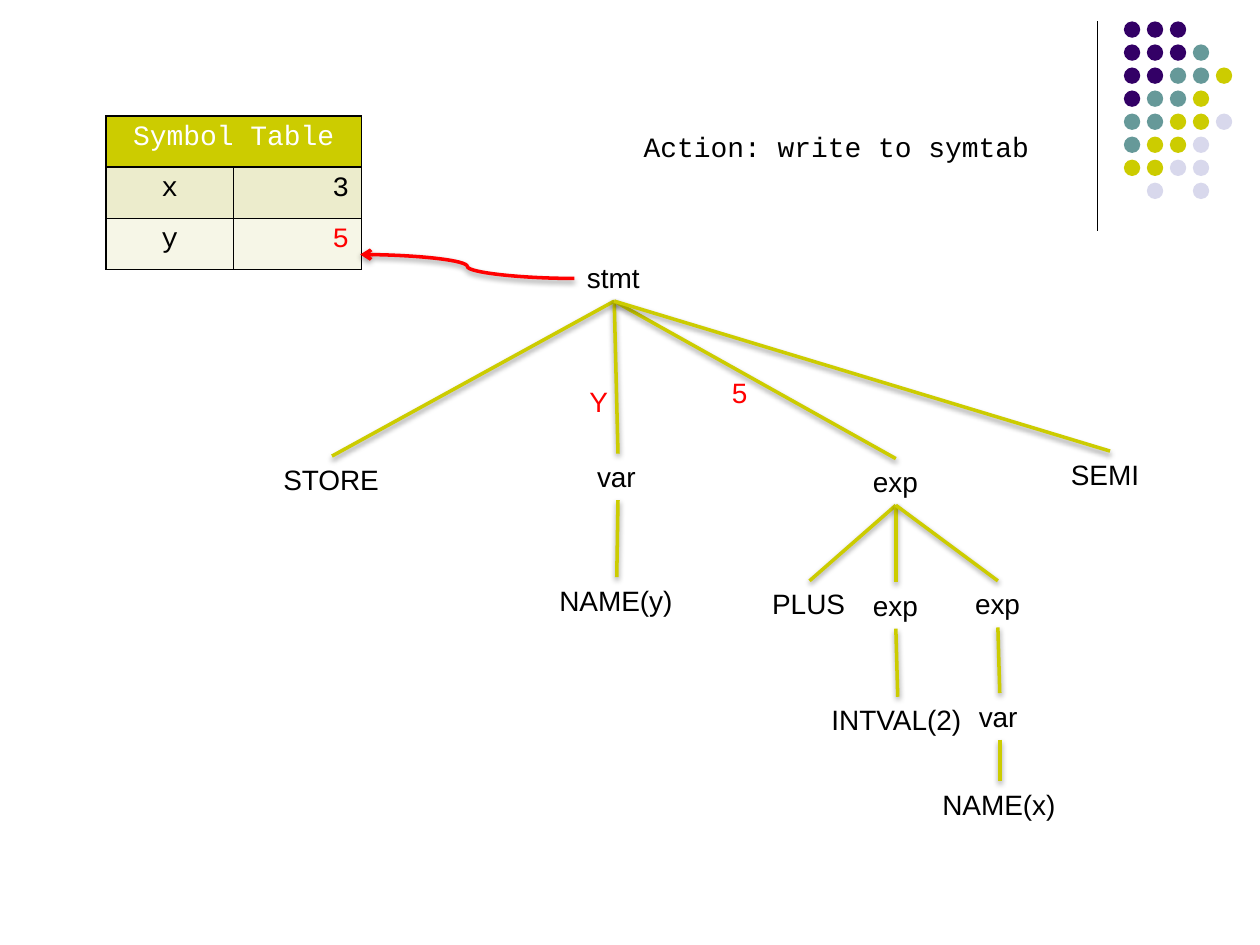
from typing import NamedTuple

from lxml import etree
from pptx import Presentation
from pptx.dml.color import RGBColor
from pptx.enum.shapes import MSO_CONNECTOR, MSO_SHAPE
from pptx.enum.text import MSO_AUTO_SIZE, PP_ALIGN
from pptx.oxml.ns import qn
from pptx.util import Inches, Pt

STRAIGHT, CURVE = MSO_CONNECTOR.STRAIGHT, MSO_CONNECTOR.CURVE
OVAL = MSO_SHAPE.OVAL
LEFT, CENTER, RIGHT = PP_ALIGN.LEFT, PP_ALIGN.CENTER, PP_ALIGN.RIGHT
GROW = MSO_AUTO_SIZE.SHAPE_TO_FIT_TEXT

BLACK = RGBColor(0x00, 0x00, 0x00)
WHITE = RGBColor(0xFF, 0xFF, 0xFF)
RED = RGBColor(0xFF, 0x00, 0x00)
PURPLE = RGBColor(0x33, 0x00, 0x66)
TEAL = RGBColor(0x66, 0x99, 0x99)
OLIVE = RGBColor(0xCC, 0xCC, 0x00)
LILAC = RGBColor(0xD8, 0xD8, 0xEC)
SAND = RGBColor(0xEC, 0xEC, 0xCC)
CREAM = RGBColor(0xF6, 0xF6, 0xE7)

SLIDE_WIDTH, SLIDE_HEIGHT = Inches(10), Inches(7.5)
UNIT = SLIDE_WIDTH / 100
LABEL_ROWS = 3.7
SANS = {"name": "Arial", "size": Pt(16), "bold": False}
MONO = {"name": "Courier New", "size": Pt(16), "bold": False}
FRAME = {"word_wrap": False, "auto_size": GROW}
SHADOW = {"blurRad": "40000", "dist": "20000", "dir": "5400000", "rotWithShape": "0"}

DOT_COLORS = {"P": PURPLE, "T": TEAL, "O": OLIVE, "L": LILAC}
DOT_ROWS = ["PPP", "PPPT", "PPTTO", "PTTO", "TTOOL", "TOOL", "OOLL", ".L.L"]

NODES = {
    "stmt": ("stmt", 24.1, 0, 6.3),
    "store": ("STORE", 0, 16, 9.7),
    "target": ("var", 24.9, 15.8, 5.3),
    "sum": ("exp", 46.8, 16.2, 5.6),
    "plus": ("PLUS", 38.8, 25.9, 7.9),
    "left": ("exp", 46.8, 26, 5.6),
    "right": ("exp", 54.9, 25.9, 5.6),
    "literal": ("INTVAL(2)", 43.5, 35.1, 12.5),
    "name x": ("NAME(x)", 52.3, 41.8, 11.1),
    "source": ("var", 55.2, 34.8, 5.3),
    "name y": ("NAME(y)", 21.9, 25.6, 11.1),
    "semi": ("SEMI", 62.5, 15.6, 8.2),
}
BRANCHES = {
    "stmt": ["store", "target", "sum", "semi"],
    "target": ["name y"],
    "sum": ["plus", "left", "right"],
    "left": ["literal"],
    "right": ["source"],
    "source": ["name x"],
}
SYMBOLS = [("x", "3", SAND, BLACK), ("y", "5", CREAM, RED)]


class Box(NamedTuple):
    """An area in grid columns and rows."""

    left: float
    top: float
    width: float
    height: float

    def inner(self, left, top, width, height):
        """Return an area placed relative to this one."""
        return Box(self.left + left, self.top + top, width, height)

    def lengths(self):
        """Return the area in slide lengths."""
        return [round(value * UNIT) for value in self]


def write_text(frame, text, font, color, align=LEFT):
    """Write one formatted paragraph."""
    para = frame.paragraphs[0]
    para.alignment = align
    span = para.add_run()
    span.text = text
    for name, value in font.items():
        setattr(span.font, name, value)
    span.font.color.rgb = color


def add_label(page, box, text, font, color=BLACK):
    """Add an unwrapped label and return its shape."""
    label = page.shapes.add_textbox(*box.lengths())
    for name, value in FRAME.items():
        setattr(label.text_frame, name, value)
    write_text(label.text_frame, text, font, color)
    return label


def add_line(page, kind, start, end, color, width, shadow=True):
    """Add a connector between two grid points."""
    points = [round(value * UNIT) for value in (*start, *end)]
    line = page.shapes.add_connector(kind, *points)
    line.line.color.rgb = color
    line.line.width = Pt(width)
    effects = etree.SubElement(line._element.spPr, qn("a:effectLst"))
    if shadow:
        outer = etree.SubElement(effects, qn("a:outerShdw"), SHADOW)
        tint = etree.SubElement(outer, qn("a:srgbClr"), val=str(BLACK))
        etree.SubElement(tint, qn("a:alpha"), val="38000")
    return line


def add_dots(page, box):
    """Add the corner rule and its grid of coloured dots."""
    rule = box.left - 2.1
    add_line(page, STRAIGHT, (rule, box.top), (rule, box.top + 16.6), BLACK, 0.75, False)
    size = 1.3
    column_step = (box.width - size) / 4
    row_step = (box.height - size) / (len(DOT_ROWS) - 1)
    group = page.shapes.add_group_shape()
    for row, codes in enumerate(DOT_ROWS):
        for column, code in enumerate(codes):
            if code in DOT_COLORS:
                area = box.inner(column * column_step, row * row_step, size, size)
                dot = group.shapes.add_shape(OVAL, *area.lengths())
                dot.shadow.inherit = False
                dot.fill.solid()
                dot.fill.fore_color.rgb = DOT_COLORS[code]
                dot.line.fill.background()


def add_tree(page, box):
    """Add the parse tree with its branches and passed values."""
    labels = {
        key: add_label(page, box.inner(left, top, width, LABEL_ROWS), text, SANS)
        for key, (text, left, top, width) in NODES.items()
    }
    for parent, children in BRANCHES.items():
        for child in children:
            branch = add_line(page, STRAIGHT, (0, 0), (0, 0), OLIVE, 2)
            branch.begin_connect(labels[parent], 2)
            branch.end_connect(labels[child], 0)
    add_label(page, box.inner(24.3, 9.8, 3.4, LABEL_ROWS), "Y", SANS, RED)
    add_label(page, box.inner(35.6, 9.1, 3.3, LABEL_ROWS), "5", SANS, RED)


def fill_cell(cell, text, fill, color, align):
    """Fill, border and write one table cell."""
    write_text(cell.text_frame, text, MONO, color, align)
    properties = cell._tc.get_or_add_tcPr()
    for side in ("lnL", "lnR", "lnT", "lnB"):
        border = etree.SubElement(properties, qn(f"a:{side}"), w=str(Pt(1)))
        paint = etree.SubElement(border, qn("a:solidFill"))
        etree.SubElement(paint, qn("a:srgbClr"), val=str(BLACK))
    cell.fill.solid()
    cell.fill.fore_color.rgb = fill


def add_symbol_table(page, box):
    """Add the symbol table with a merged heading."""
    table = page.shapes.add_table(len(SYMBOLS) + 1, 2, *box.lengths()).table
    table.cell(0, 0).merge(table.cell(0, 1))
    fill_cell(table.cell(0, 0), "Symbol Table", OLIVE, WHITE, CENTER)
    for row, (name, value, fill, color) in enumerate(SYMBOLS, 1):
        fill_cell(table.cell(row, 0), name, fill, BLACK, CENTER)
        fill_cell(table.cell(row, 1), value, fill, color, RIGHT)


def add_action(page, box):
    """Add the action caption and the arrow that writes to the table."""
    add_label(page, box, "Action: write to symtab", MONO)
    start = (box.left - 4.5, box.top + 12.3)
    end = (box.left - 21.5, box.top + 10.4)
    arrow = add_line(page, CURVE, start, end, RED, 2)
    etree.SubElement(arrow.line._get_or_add_ln(), qn("a:tailEnd"), type="arrow")


def main():
    """Build and save the slide."""
    deck = Presentation()
    deck.slide_width, deck.slide_height = SLIDE_WIDTH, SLIDE_HEIGHT
    page = deck.slides.add_slide(deck.slide_layouts[6])
    add_dots(page, Box(8.92 * 10, 1.7, 8.6, 14.1))
    add_tree(page, Box(21.5, 20.2, 70.7, 45.5))
    add_symbol_table(page, Box(8.4, 9.2, 20.3, 12.2))
    add_action(page, Box(50.1, 9.8, 33.1, LABEL_ROWS))
    deck.save("out.pptx")


if __name__ == "__main__":
    main()
